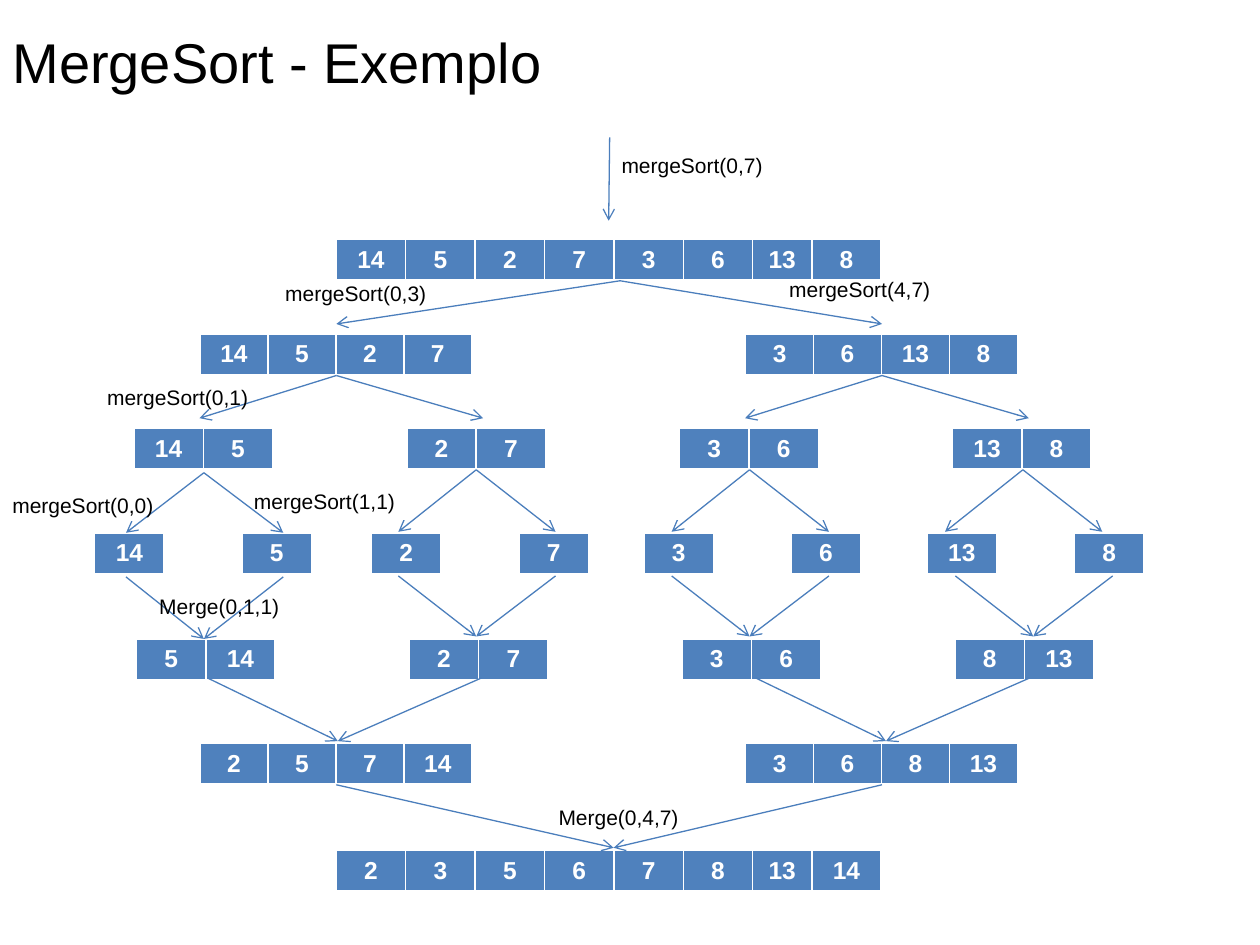
from dataclasses import dataclass

from pptx import Presentation
from pptx.dml.color import RGBColor
from pptx.enum.shapes import MSO_CONNECTOR
from pptx.enum.text import MSO_ANCHOR, MSO_AUTO_SIZE, PP_ALIGN
from pptx.oxml import parse_xml
from pptx.oxml.ns import nsdecls, qn
from pptx.util import Cm, Pt

LEFT, CENTER = PP_ALIGN.LEFT, PP_ALIGN.CENTER
TOP = MSO_ANCHOR.TOP
FIT = MSO_AUTO_SIZE.SHAPE_TO_FIT_TEXT
STRAIGHT = MSO_CONNECTOR.STRAIGHT


@dataclass(frozen=True)
class Theme:
    font: str = "Arial"
    ink: str = "000000"
    paper: str = "FFFFFF"
    fill: str = "4F81BD"
    line: str = "4B7EBC"
    title: int = 32
    cell: int = 14
    label: int = 12
    stroke: float = 0.75


THEME = Theme()
HALF = 11.0     # step between the two halves of the array
PAIR = 5.5      # step between neighbouring pairs
WIDE = 1.4
SLIM = 1.37
FULL = [WIDE] * 6 + [1.19, WIDE]

# Each level: top, column widths, left edges, values
LEVELS = [
    (4.83, FULL, [6.78], [[14, 5, 2, 7, 3, 6, 13, 8]]),
    (6.73, [SLIM] * 4, [4.03, 4.03 + HALF], [[14, 5, 2, 7], [3, 6, 13, 8]]),
    (8.64, [WIDE] * 2, [2.7 + PAIR * i for i in range(4)],
     [[14, 5], [2, 7], [3, 6], [13, 8]]),
    (10.74, [WIDE], [x + d for x in (1.91, 7.49, 12.98, 18.69) for d in (0, 2.97)],
     [[14], [5], [2], [7], [3], [6], [13], [8]]),
    (12.88, [WIDE] * 2, [2.75 + PAIR * i for i in range(4)],
     [[5, 14], [2, 7], [3, 6], [8, 13]]),
    (14.99, [SLIM] * 4, [4.03, 4.03 + HALF], [[2, 5, 7, 14], [3, 6, 8, 13]]),
    (17.15, FULL, [6.78], [[2, 3, 5, 6, 7, 8, 13, 14]]),
]

# Each fork: apex x, apex y, reach left, reach right, far y
SPLITS = [
    (12.5, 5.66, 5.72, 5.28, 6.53),
    (6.78, 7.57, 2.76, 2.96, 8.43),
    (17.78, 7.57, 2.76, 2.96, 8.43),
    (4.11, 9.53, 1.57, 1.6, 10.74),
] + [(x, 9.47, 1.57, 1.6, 10.72) for x in (9.6, 15.11, 20.62)]
MERGES = [
    (4.11, 12.88, 1.57, 1.6, 11.63),
] + [(x, 12.83, 1.57, 1.6, 11.61) for x in (9.6, 15.11, 20.83)] + [
    (6.81, 14.94, 2.62, 2.89, 13.67),
    (17.86, 14.94, 2.62, 2.89, 13.67),
    (12.37, 17.09, 5.59, 5.41, 15.82),
]

# Each label: text, left, top, width
LABELS = [
    ("mergeSort(0,7)", 12.28, 2.96, 3.38),
    ("mergeSort(0,3)", 5.5, 5.54, 3.38),
    ("mergeSort(0,1)", 1.91, 7.62, 3.38),
    ("mergeSort(0,0)", 0, 9.8, 3.38),
    ("mergeSort(1,1)", 4.87, 9.73, 3.38),
    ("Merge(0,1,1)", 2.96, 11.85, 2.95),
    ("Merge(0,4,7)", 11.01, 16.09, 2.95),
    ("mergeSort(4,7)", 15.66, 5.46, 3.38),
]


def write(frame, text, size=THEME.label, color=THEME.ink, bold=False, align=LEFT):
    para = frame.paragraphs[0]
    para.alignment = align
    run = para.add_run()
    run.text = text
    font = run.font
    font.name, font.size, font.bold = THEME.font, Pt(size), bold
    font.color.rgb = RGBColor.from_string(color)


def label(slide, text, x, y, width, height=0.77, size=THEME.label):
    box = slide.shapes.add_textbox(Cm(x), Cm(y), Cm(width), Cm(height))
    frame = box.text_frame
    frame.word_wrap = False
    frame.auto_size = FIT
    write(frame, text, size=size)


def border(cell):
    # Borders come before the fill in the cell properties
    props = cell._tc.get_or_add_tcPr()
    for spot, (side, width) in enumerate(zip("LRTB", (1, 1, 1, 3))):
        props.insert(spot, parse_xml(
            f'<a:ln{side} {nsdecls("a")} w="{Pt(width)}"><a:solidFill>'
            f'<a:srgbClr val="{THEME.paper}"/></a:solidFill></a:ln{side}>'))


def array(slide, x, y, widths, values):
    frame = slide.shapes.add_table(
        1, len(values), Cm(x), Cm(y), Cm(sum(widths)), Cm(0.79))
    table = frame.table
    for col, (width, value) in enumerate(zip(widths, values)):
        table.columns[col].width = Cm(width)
        cell = table.cell(0, col)
        cell.fill.solid()
        cell.fill.fore_color.rgb = RGBColor.from_string(THEME.fill)
        cell.vertical_anchor = TOP
        border(cell)
        write(cell.text_frame, str(value), size=THEME.cell,
              color=THEME.paper, bold=True, align=CENTER)


def arrow(slide, start, end, tip="tailEnd"):
    link = slide.shapes.add_connector(
        STRAIGHT, *(Cm(v) for v in (*start, *end)))
    link.line.color.rgb = RGBColor.from_string(THEME.line)
    link.line.width = Pt(THEME.stroke)
    props = link._element.spPr
    props.find(qn("a:ln")).append(
        parse_xml(f'<a:{tip} {nsdecls("a")} type="arrow"/>'))
    props.append(parse_xml(f'<a:effectLst {nsdecls("a")}/>'))


def fork(slide, x, y, left, right, far, tip):
    for end in (x - left, x + right):
        arrow(slide, (x, y), (end, far), tip)


def main():
    deck = Presentation()
    deck.slide_width, deck.slide_height = Cm(25.4), Cm(19.05)
    slide = deck.slides.add_slide(deck.slide_layouts[6])

    # Title
    label(slide, "MergeSort - Exemplo", 0, 0.43, 11.28, 1.62, THEME.title)

    # Arrays, level by level
    for top, widths, lefts, rows in LEVELS:
        for left, values in zip(lefts, rows):
            array(slide, left, top, widths, values)

    # Arrows: splits point away from the apex, merges point to it
    for split in SPLITS:
        fork(slide, *split, "tailEnd")
    for merge in MERGES:
        fork(slide, *merge, "headEnd")
    arrow(slide, (12.29, 2.77), (12.27, 4.45))

    # Call labels
    for item in LABELS:
        label(slide, *item)

    deck.save("out.pptx")


main()
